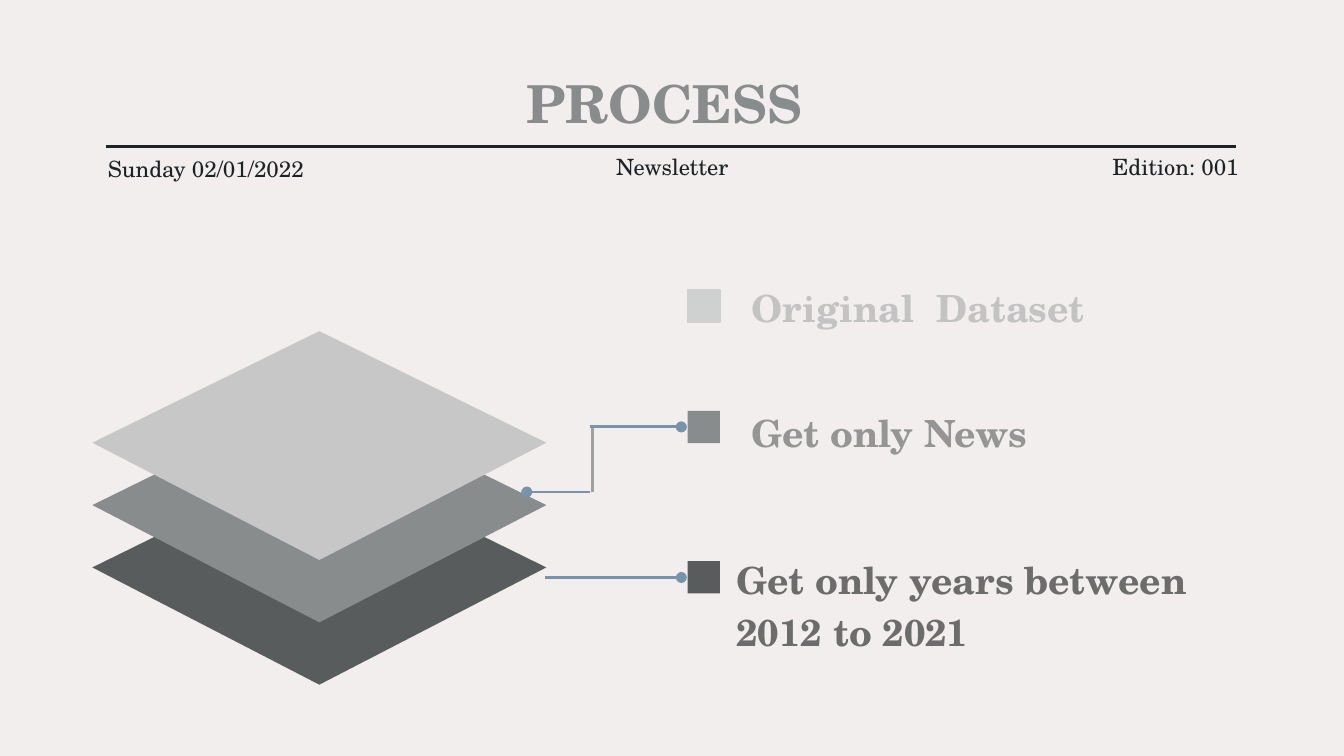
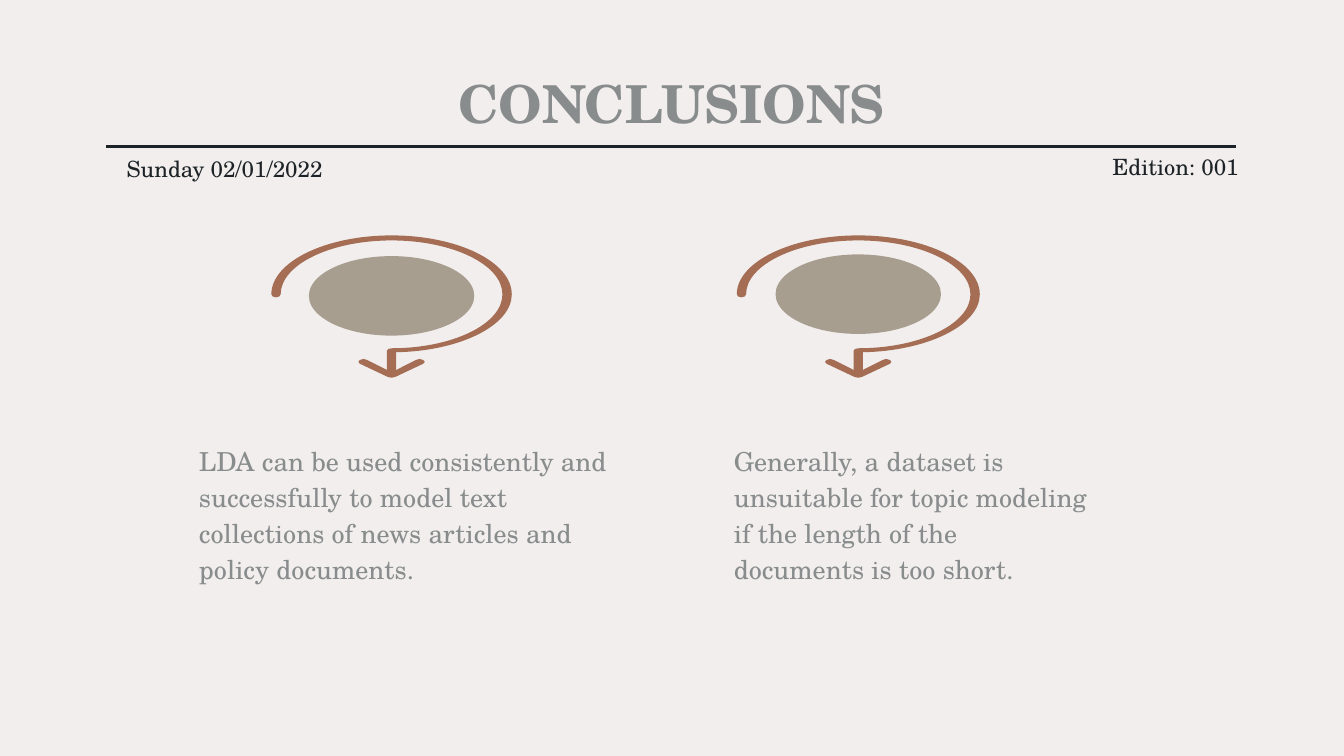
from lxml.etree import SubElement
from pptx import Presentation
from pptx.dml.color import RGBColor
from pptx.enum.shapes import MSO_CONNECTOR, MSO_SHAPE
from pptx.enum.text import MSO_ANCHOR as ANCHOR, MSO_AUTO_SIZE, PP_ALIGN as ALIGN
from pptx.oxml.ns import qn
from pptx.util import Pt

FONT = "TeX Gyre Schola"
COLORS = {
    "paper": "F1EEED", "ink": "1C2226", "gray": "888C8C", "dark": "595C5C",
    "light": "C7C7C7", "swatch": "CFD1D1", "blue": "7994A9", "elbow": "9FA19D",
    "label_light": "C3C3C3", "label_mid": "959595", "label_dark": "6C6C6C",
    "taupe": "A89E90", "rust": "A46D54",
}


def rgb(name):
    return RGBColor.from_string(COLORS[name])


def write(sp, text, size, color, align=ALIGN.LEFT, anchor=ANCHOR.TOP,
          inset=(0, 0), bold=False, spacing=1.0):
    """Fill a shape with one paragraph; inset is (sides, top and bottom)."""
    tf = sp.text_frame
    tf.text = text
    tf.word_wrap = True
    tf.auto_size = MSO_AUTO_SIZE.NONE
    tf.vertical_anchor = anchor
    tf.margin_left = tf.margin_right = Pt(inset[0])
    tf.margin_top = tf.margin_bottom = Pt(inset[1])
    p = tf.paragraphs[0]
    p.alignment = align
    p.line_spacing = spacing
    font = p.runs[0].font
    font.name, font.size, font.bold = FONT, Pt(size), bold
    font.color.rgb = rgb(color)


def add_text(s, box, text, size, color, **style):
    sp = s.shapes.add_textbox(*map(Pt, box))
    write(sp, text, size, color, **style)


def paint(sp, color):
    sp.shadow.inherit = False
    sp.fill.solid()
    sp.fill.fore_color.rgb = rgb(color)
    sp.line.fill.background()


def add_filled(s, preset, box, color):
    sp = s.shapes.add_shape(preset, *map(Pt, box))
    paint(sp, color)
    return sp


def add_outline(s, left, top, segments, color):
    """Draw a closed outline relative to (left, top).

    A segment of one point is a straight line, one of three is a Bezier curve.
    """
    points = [(Pt(left + x), Pt(top + y)) for seg in segments for x, y in seg]
    builder = s.shapes.build_freeform(*points[0])
    builder.add_line_segments(points[1:], close=True)
    sp = builder.convert_to_shape()
    lines = iter(list(sp._element.iter(qn("a:lnTo"))))
    for seg in segments[1:]:
        first, *rest = [next(lines) for _ in seg]
        if rest:
            first.tag = qn("a:cubicBezTo")
            for line in rest:
                first.append(line[0])
                line.getparent().remove(line)
    paint(sp, color)


def add_line(s, x1, y1, x2, y2, color, dot=False):
    line = s.shapes.add_connector(MSO_CONNECTOR.STRAIGHT, *map(Pt, (x1, y1, x2, y2)))
    line.line.width = Pt(1.5)
    line.line.color.rgb = rgb(color)
    if dot:
        SubElement(line.line._get_or_add_ln(), qn("a:tailEnd"), type="oval")
    SubElement(line._element.spPr, qn("a:effectLst"))


def add_page(prs, title, date_box, date_align):
    """Add a slide with its masthead: title, rule, date and edition."""
    s = prs.slides.add_slide(prs.slide_layouts[5])
    sp = s.shapes.title
    sp.left, sp.top, sp.width, sp.height = map(Pt, (57.8, 38.2, 604, 33))
    write(sp, title, 28, "gray", align=ALIGN.CENTER, anchor=ANCHOR.MIDDLE,
          inset=(7.2, 7.2), bold=True)
    add_line(s, 56.9, 78.5, 662.4, 78.5, "ink")
    add_masthead_note(s, date_box, "Sunday 02/01/2022", date_align)
    add_masthead_note(s, (542, 82.4, 121.7, 13.7), "Edition: 001", ALIGN.RIGHT)
    return s


def add_masthead_note(s, box, text, align):
    add_text(s, box, text, 12, "ink", align=align, anchor=ANCHOR.MIDDLE, inset=(0, 7.2))


def add_layers(s, left, top, width=243.2, height=122.6, step=33.4):
    """Stack three diamonds, the lowest one at the back."""
    corners = [(width / 2, 0), (0, 59.8), (width / 2, height), (width, 59.8)]
    for i, color in reversed(list(enumerate(("light", "gray", "dark")))):
        add_outline(s, left, top + i * step, [[corner] for corner in corners], color)


def add_step(s, left, top, swatch, label_box, text, color):
    """Add a colour key with its label; label_box is relative to the key."""
    key = add_filled(s, MSO_SHAPE.RECTANGLE, (left, top, 17.3, 17.3), swatch)
    if swatch == "swatch":
        key.line.color.rgb = rgb(swatch)
        key.line.width = Pt(0.75)
    x, y, width, height = label_box
    add_text(s, (left + x, top + y, width, height), text, 20, color,
             anchor=ANCHOR.BOTTOM, bold=True, spacing=1.15)


def add_process(prs):
    s = add_page(prs, "PROCESS ", (57.8, 83.7, 121.7, 13.7), ALIGN.LEFT)
    add_masthead_note(s, (299.3, 82.4, 121.7, 13.7), "Newsletter", ALIGN.CENTER)
    add_layers(s, 49.5, 177.4)

    steps = (
        (155.3, "swatch", (34.2, -5.9, 237, 27.4), "Original  Dataset", "label_light"),
        (220.2, "gray", (34.2, -3.9, 237, 27.4), "Get only News", "label_mid"),
        (300.7, "dark", (26.2, 22.2, 276.5, 27.4),
         "Get only years between 2012 to 2021", "label_dark"),
    )
    for top, *step in steps:
        add_step(s, 368.4, top, *step)

    key_x, bend_x = 365, 316.2
    add_line(s, 292.1, 309.4, key_x, 309.4, "blue", dot=True)
    add_line(s, bend_x, 263.6, 282.2, 263.6, "blue", dot=True)
    add_line(s, bend_x, 228.7, key_x, 228.7, "blue", dot=True)
    add_line(s, bend_x + 1.2, 229.5, bend_x + 1.2, 263.5, "elbow")


def quarter(start, end, cx=0):
    """Curve along a quarter of an ellipse centred on (cx, 0)."""
    k = 0.55
    (x0, y0), (x1, y1) = start, end
    return [(cx + x0 + k * x1, y0 + k * y1), (cx + x1 + k * x0, y1 + k * y0),
            (cx + x1, y1)]


def add_swirl(s, cx, cy, rx, oval_dy):
    """Draw an oval circled by an arrow that ends below it, centred on (cx, cy)."""
    ry, band = 31.6, 5
    add_filled(s, MSO_SHAPE.OVAL, (cx - 44.3, cy - 21.3 + oval_dy, 88.6, 42.6), "taupe")

    half, in_rx, in_ry = band / 2, rx - band, 28.9
    cap_x = half - rx
    ring = [
        [(-rx, 0)],
        quarter((-rx, 0), (0, -ry)),
        quarter((0, -ry), (rx, 0)),
        [(rx, 16.6), (36.7, 30.4), (half, 31)],
        [(half, 41.8)], [(-half, 41.8)], [(-half, 30.2)],
        [(-half, 29.5), (-1.4, in_ry), (0, in_ry)],
        quarter((0, in_ry), (in_rx, 0)),
        quarter((in_rx, 0), (0, -in_ry)),
        quarter((0, -in_ry), (-in_rx, 0)),
        quarter((half, 0), (0, 1.6), cap_x),
        quarter((0, 1.6), (-half, 0), cap_x),
    ]
    add_outline(s, cx, cy, ring, "rust")

    right = [(0, 41.8), (13, 35.2), (15, 34.6), (17, 35.2), (17.8, 36.2),
             (17, 37.2), (2, 44.3), (0, 44.7)]
    left = [(-x, y) for x, y in reversed(right[1:-1])]
    add_outline(s, cx, cy, [[point] for point in right + left], "rust")


def add_conclusions(prs):
    s = add_page(prs, "CONCLUSIONS", (49.1, 82.1, 142.6, 16.6), ALIGN.CENTER)
    findings = (
        (209.8, 64.4, 0.8, 106.6, 220.3,
         "LDA can be used consistently and successfully to model "
         "text collections of news articles and policy documents."),
        (459.8, 65.1, -0.1, 393.1, 190.8,
         "Generally, a dataset is unsuitable for topic modeling "
         "if the length of the documents is too short."),
    )
    for cx, rx, oval_dy, left, width, text in findings:
        add_swirl(s, cx, 157.7, rx, oval_dy)
        add_text(s, (left, 236.2, width, 75.6), text, 14, "gray", spacing=1.15)


def main():
    prs = Presentation()
    prs.slide_width, prs.slide_height = Pt(720), Pt(405)
    fill = prs.slide_master.background.fill
    fill.solid()
    fill.fore_color.rgb = rgb("paper")
    add_process(prs)
    add_conclusions(prs)
    prs.save("out.pptx")


if __name__ == "__main__":
    main()
